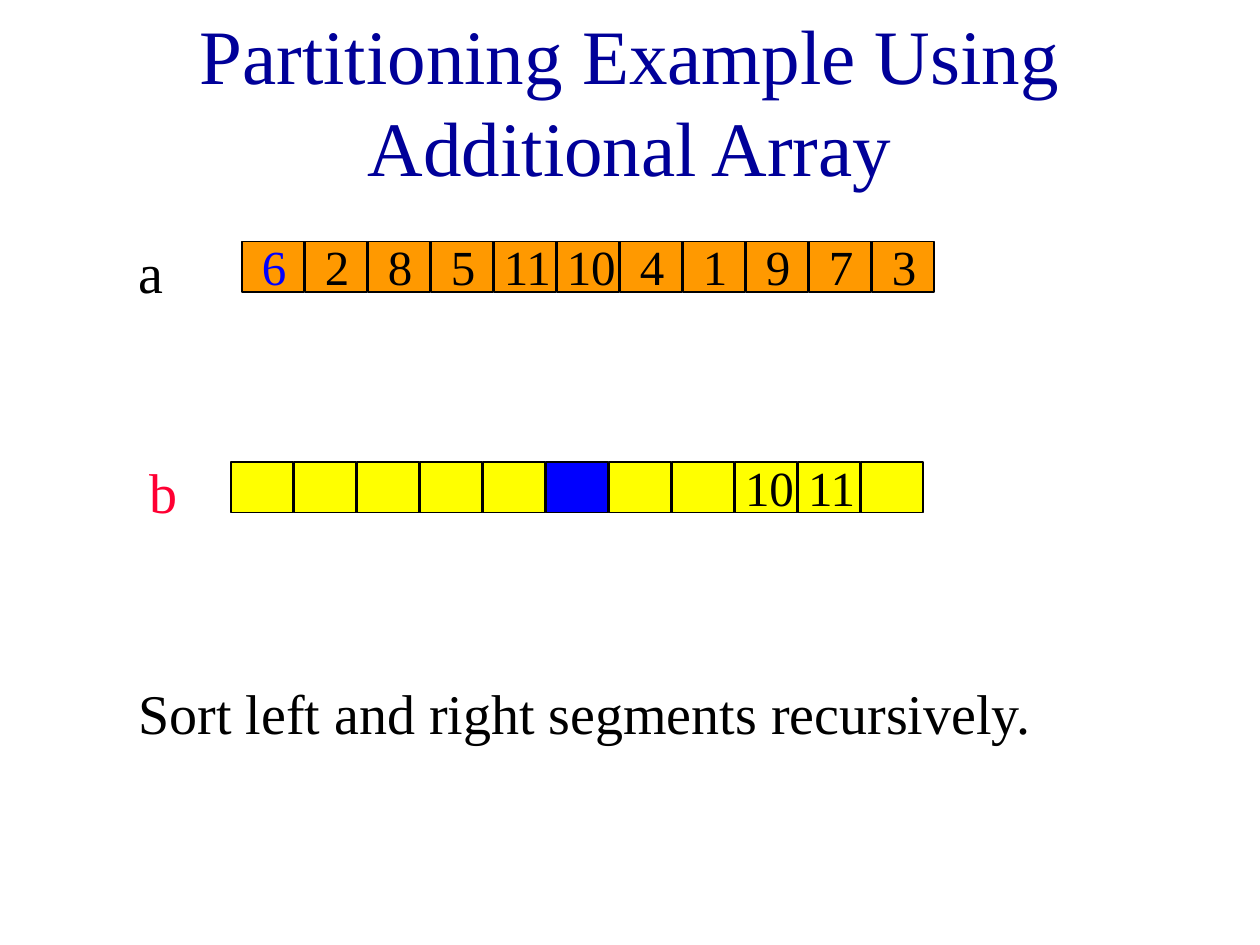
import pptx
import pptx.dml.color
import pptx.enum.shapes
import pptx.enum.text
import pptx.util

COLOURS = {
    "title": "000099",
    "text": "000000",
    "label": "FF0033",
    "source": "FF9900",
    "target": "FFFF00",
    "pivot": "0000FF",
}


class ArrayPage:
    """Holds the style and the current slide on a grid of 20 columns by 30 rows."""

    font = "Times New Roman"
    columns, rows = 20, 30

    def __init__(self, deck):
        """Add a title-only page to the deck."""
        self.column = deck.slide_width / self.columns
        self.row = deck.slide_height / self.rows
        self.page = deck.slides.add_slide(deck.slide_layouts[5])

    def place(self, left, top, width, height):
        """Turn grid measures into lengths."""
        return (round(left * self.column), round(top * self.row),
                round(width * self.column), round(height * self.row))

    def colour(self, name):
        """Look up a named colour."""
        return pptx.dml.color.RGBColor.from_string(COLOURS[name])

    def add_span(self, para, words, size, colour):
        """Add one styled run to a paragraph."""
        span = para.add_run()
        span.text = words
        span.font.name = self.font
        span.font.size = pptx.util.Pt(size)
        span.font.color.rgb = self.colour(colour)

    def title(self, words, area):
        """Place and fill the title placeholder."""
        box = self.page.shapes.title
        box.left, box.top, box.width, box.height = self.place(*area)
        frame = box.text_frame
        frame.word_wrap = True
        frame.auto_size = pptx.enum.text.MSO_AUTO_SIZE.NONE
        frame.vertical_anchor = pptx.enum.text.MSO_ANCHOR.MIDDLE
        para = frame.paragraphs[0]
        para.alignment = pptx.enum.text.PP_ALIGN.CENTER
        self.add_span(para, words, 44, "title")

    def text(self, words, area, size=32, colour="text", shapes=None):
        """Add a text box to the page or to a group."""
        holder = self.page.shapes if shapes is None else shapes
        box = holder.add_textbox(*self.place(*area))
        frame = box.text_frame
        frame.word_wrap = True
        frame.auto_size = pptx.enum.text.MSO_AUTO_SIZE.SHAPE_TO_FIT_TEXT
        para = frame.paragraphs[0]
        para.space_before = pptx.util.Pt(size * 0.625)
        self.add_span(para, words, size, colour)

    def cell(self, shapes, left, top, value, fill, colour):
        """Add one array cell with its value, if it has one."""
        box = shapes.add_shape(pptx.enum.shapes.MSO_SHAPE.RECTANGLE,
                               *self.place(left, top, 0.98, 1.6))
        box.shadow.inherit = False
        box.fill.solid()
        box.fill.fore_color.rgb = self.colour(fill)
        box.line.color.rgb = self.colour("text")
        box.line.width = pptx.util.Pt(1)
        if value:
            shift, width = (0.12, 1.04) if len(value) == 1 else (-0.04, 1.54)
            self.text(value, (left + shift, top - 0.35, width, 2.28),
                      28, colour, shapes)

    def array(self, left, top, values, fill, pivot_fill=None, pivot_text=None):
        """Add a row of cells, with the pivot given as (index, colour)."""
        shapes = self.page.shapes.add_group_shape().shapes
        fills = dict([pivot_fill] if pivot_fill else [])
        inks = dict([pivot_text] if pivot_text else [])
        for index, value in enumerate(values):
            self.cell(shapes, left + index, top, value,
                      fills.get(index, fill), inks.get(index, "text"))


def main():
    """Build the partitioning page."""
    deck = pptx.Presentation()
    deck.slide_width = pptx.util.Inches(10)
    deck.slide_height = pptx.util.Inches(7.5)
    page = ArrayPage(deck)
    page.title("Partitioning Example Using Additional Array", (1.5, 0.67, 17, 5))
    page.array(3.84, 7.67, "6 2 8 5 11 10 4 1 9 7 3".split(), "source",
               pivot_text=(0, "pivot"))
    page.text("a", (2, 7.33, 1, 2.5))
    page.text("b", (2.17, 14.33, 1, 2.5), colour="label")
    page.array(3.67, 14.67, [""] * 8 + ["10", "11", ""], "target",
               pivot_fill=(5, "pivot"))
    page.text("Sort left and right segments recursively.",
              (2, 21.33, 15.67, 2.5))
    deck.save("out.pptx")


if __name__ == "__main__":
    main()
